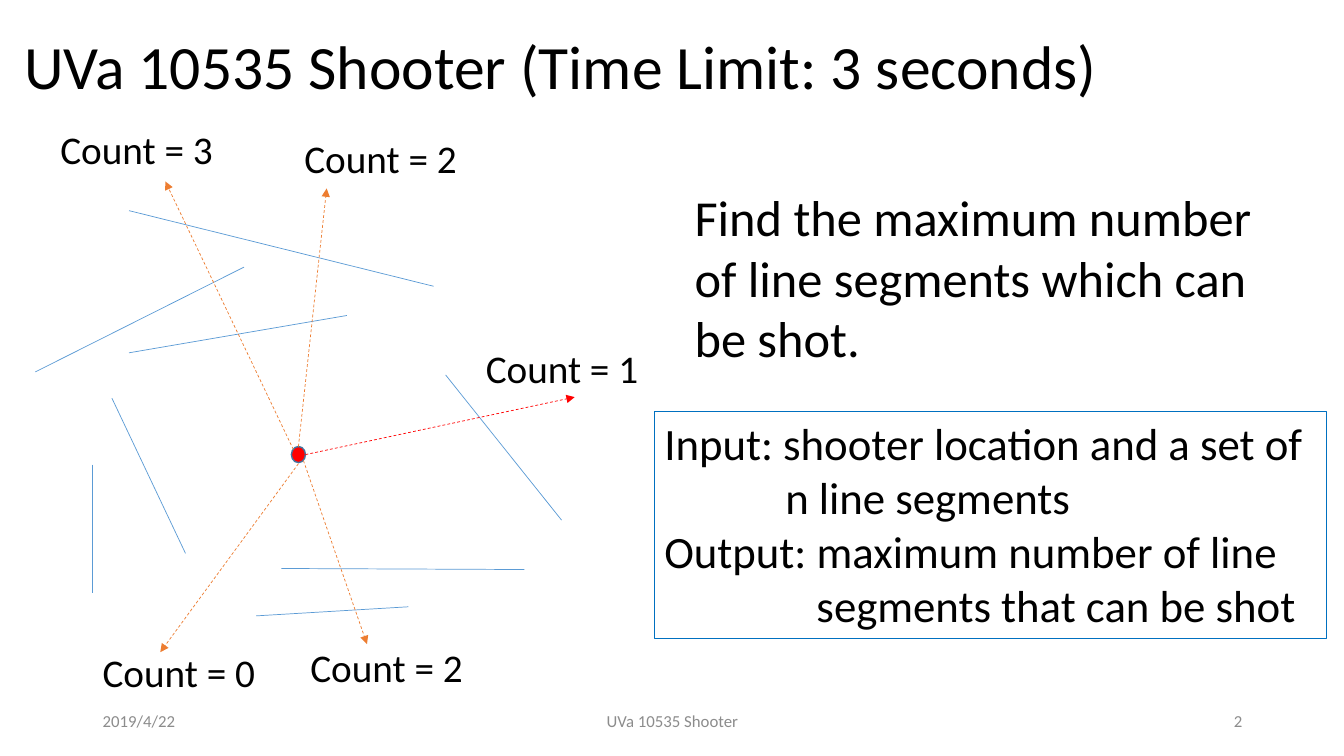
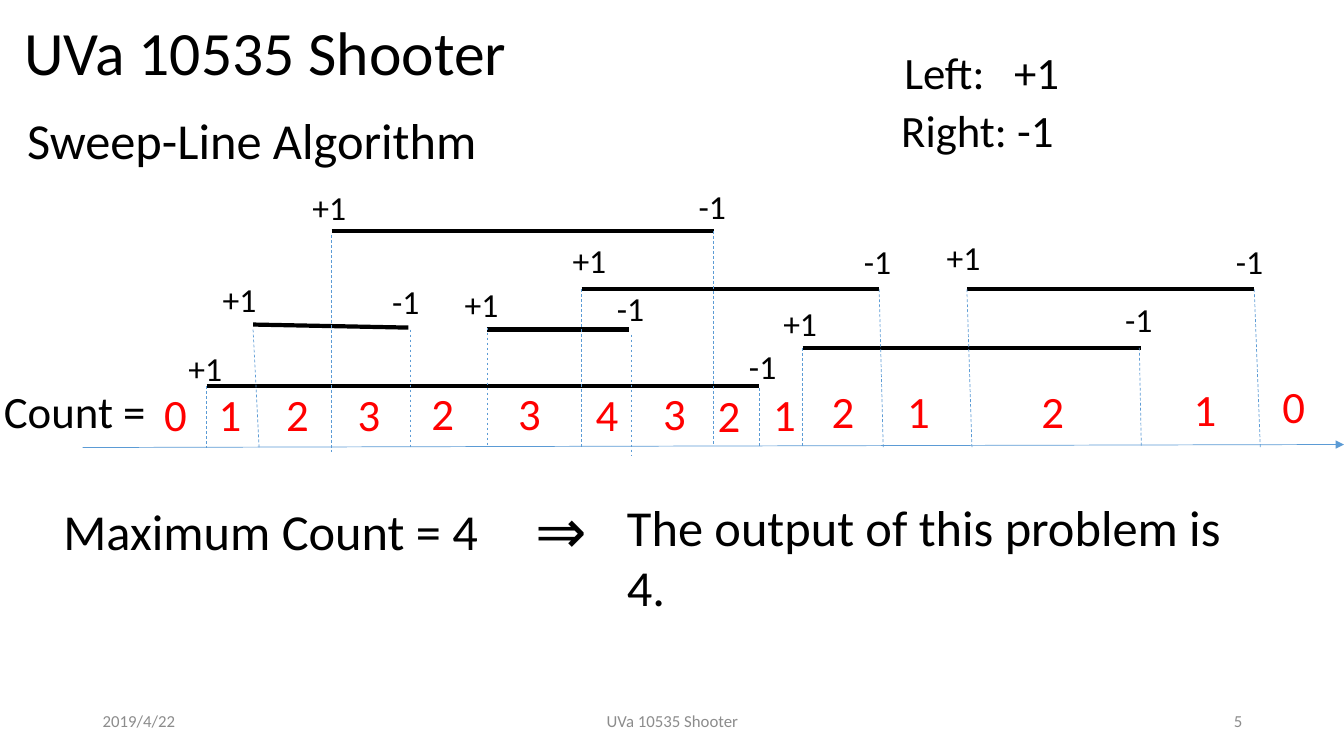
from lxml import etree
from pptx import Presentation
from pptx import util as u
from pptx.dml.color import RGBColor
from pptx.enum import dml, shapes, text
from pptx.oxml import ns

PX = 9144
BLACK = RGBColor(0x00, 0x00, 0x00)
RED = RGBColor(0xFF, 0x00, 0x00)
BLUE = RGBColor(0x5B, 0x9B, 0xD5)
DARK_BLUE = RGBColor(0x43, 0x73, 0x9E)
FRAME_BLUE = RGBColor(0x00, 0x70, 0xC0)
ORANGE = RGBColor(0xED, 0x7D, 0x31)
GRAY = RGBColor(0x8C, 0x8C, 0x8C)
LEFT, CENTER, RIGHT = text.PP_ALIGN.LEFT, text.PP_ALIGN.CENTER, text.PP_ALIGN.RIGHT


def write(slide, words, left, top, width, height, size, color=BLACK, align=LEFT, font="Calibri"):
    box = slide.shapes.add_textbox(left * PX, top * PX, width * PX, height * PX)
    frame = box.text_frame
    frame.word_wrap = True
    frame.text = words
    for paragraph in frame.paragraphs:
        paragraph.alignment = align
        paragraph.font.name = font
        paragraph.font.size = u.Pt(size)
        paragraph.font.color.rgb = color
    return box


def draw_line(slide, x1, y1, x2, y2, color=BLUE, weight=0.5, dashed=False, arrow=False):
    line = slide.shapes.add_connector(
        shapes.MSO_CONNECTOR.STRAIGHT, x1 * PX, y1 * PX, x2 * PX, y2 * PX)
    line.line.color.rgb = color
    line.line.width = u.Pt(weight)
    if dashed:
        line.line.dash_style = dml.MSO_LINE.DASH
    if arrow:
        etree.SubElement(line.line._get_or_add_ln(), ns.qn("a:tailEnd"), type="triangle")
    etree.SubElement(line._element.spPr, ns.qn("a:effectLst"))


deck = Presentation()
deck.slide_width, deck.slide_height = 1333 * PX, 750 * PX

pages = []
for heading, width, height, number in [
    ("UVa 10535 Shooter (Time Limit: 3 seconds)", 1150, 137, "2"),
    ("UVa 10535 Shooter", 501, 110, "5"),
]:
    page = deck.slides.add_slide(deck.slide_layouts[5])
    title = page.shapes.title
    title.left, title.top = 14 * PX, 0
    title.width, title.height = width * PX, height * PX
    title.text_frame.text = heading
    title.text_frame.word_wrap = True
    title.text_frame.auto_size = text.MSO_AUTO_SIZE.NONE
    title.text_frame.vertical_anchor = text.MSO_ANCHOR.MIDDLE
    paragraph = title.text_frame.paragraphs[0]
    paragraph.alignment = LEFT
    paragraph.line_spacing = 0.9
    paragraph.font.name = "Calibri"
    paragraph.font.size = u.Pt(44)
    paragraph.font.color.rgb = BLACK
    for words, left, span, align in [
        ("2019/4/22", 92, 300, LEFT),
        ("UVa 10535 Shooter", 442, 450, CENTER),
        (number, 942, 300, RIGHT),
    ]:
        footer = write(page, words, left, 695, span, 40, 12, GRAY, align)
        footer.text_frame.vertical_anchor = text.MSO_ANCHOR.MIDDLE
    pages.append(page)
problem, sweep = pages

for segment in [
    (128, 209, 430, 284), (344, 313, 128, 350), (442, 372, 557, 516), (279, 564, 520, 565),
    (242, 265, 35, 369), (111, 395, 184, 549), (92, 461, 92, 588), (254, 611, 405, 602),
]:
    draw_line(problem, *segment)

shooter = problem.shapes.add_shape(
    shapes.MSO_SHAPE.OVAL, 289 * PX, 443 * PX, 14 * PX, 16 * PX)
shooter.shadow.inherit = False
shooter.fill.solid()
shooter.fill.fore_color.rgb = RED
shooter.line.color.rgb = DARK_BLUE
shooter.line.width = u.Pt(1)

for shot, color, count, left, top in [
    ((296, 460, 159, 647), ORANGE, 0, 92, 638),
    ((303, 451, 570, 394), RED, 1, 472, 337),
    ((296, 443, 324, 187), ORANGE, 2, 292, 128),
    ((291, 446, 164, 180), ORANGE, 3, 50, 119),
    ((301, 457, 364, 639), ORANGE, 2, 298, 633),
]:
    draw_line(problem, *shot, color, dashed=True, arrow=True)
    write(problem, f"Count = {count}", left, top, 176, 57, 28)

write(problem, "Find the maximum number of line segments which can be shot.",
      679, 180, 601, 192, 36)
task = write(problem, "Input: shooter location and a set of n line segments\n"
             "Output: maximum number of line segments that can be shot",
             649, 408, 667, 226, 32)
task.line.color.rgb = FRAME_BLUE
task.line.width = u.Pt(0.75)
for paragraph, hang in zip(task.text_frame.paragraphs, (120, 151)):
    properties = paragraph._p.get_or_add_pPr()
    properties.set("marL", str(hang * PX))
    properties.set("indent", str(-hang * PX))

draw_line(sweep, 82, 444, 1333, 441, arrow=True)
for interval, plus, minus in [
    ((205, 383, 753, 383), (177, 340), (733, 338)),
    ((251, 322, 405, 325), (211, 272), (379, 274)),
    ((483, 327, 624, 327), (451, 277), (602, 281)),
    ((577, 287, 872, 287), (558, 233), (847, 234)),
    ((796, 345, 1132, 345), (767, 296), (1106, 292)),
    ((959, 287, 1244, 287), (929, 230), (1216, 234)),
    ((329, 229, 708, 229), (300, 181), (683, 180)),
]:
    draw_line(sweep, *interval, BLACK, 3)
    write(sweep, "+1", *plus, 71, 50, 24)
    write(sweep, "-1", *minus, 71, 50, 24)

for event in [
    (205, 383, 205, 444), (251, 327, 257, 444), (329, 233, 329, 448), (407, 327, 407, 444),
    (483, 325, 483, 444), (577, 287, 577, 444), (626, 332, 626, 452), (708, 229, 708, 441),
    (753, 385, 753, 444), (796, 345, 796, 444), (872, 287, 876, 444), (959, 287, 964, 444),
    (1130, 345, 1132, 443), (1244, 287, 1250, 444),
]:
    draw_line(sweep, *event, dashed=True)

for count, left, top in [
    (0, 153, 379), (1, 207, 379), (2, 274, 379), (3, 345, 379), (2, 418, 378),
    (3, 504, 378), (4, 581, 379), (3, 648, 378), (2, 702, 380), (1, 757, 379),
    (2, 815, 376), (1, 890, 376), (2, 1023, 376), (1, 1174, 374), (0, 1262, 371),
]:
    write(sweep, str(count), left, top, 46, 64, 32, RED)

write(sweep, "Count =", -6, 376, 194, 64, 32)
write(sweep, "Sweep-Line Algorithm", 17, 103, 495, 71, 36)
write(sweep, "Maximum Count = 4", 53, 491, 466, 71, 36)
write(sweep, "⇒", 521, 483, 73, 84, 44, font="Karla").text_frame.word_wrap = False
write(sweep, "The output of this problem is 4.", 612, 487, 658, 71, 36)
write(sweep, "Right: -1", 884, 97, 189, 64, 32)
left_rule = write(sweep, "Left:\t+1", 887, 39, 192, 64, 32)
stops = etree.Element(ns.qn("a:tabLst"))
etree.SubElement(stops, ns.qn("a:tab"), pos=str(109 * PX), algn="l")
left_rule.text_frame.paragraphs[0]._p.get_or_add_pPr().insert(0, stops)

deck.save("out.pptx")
